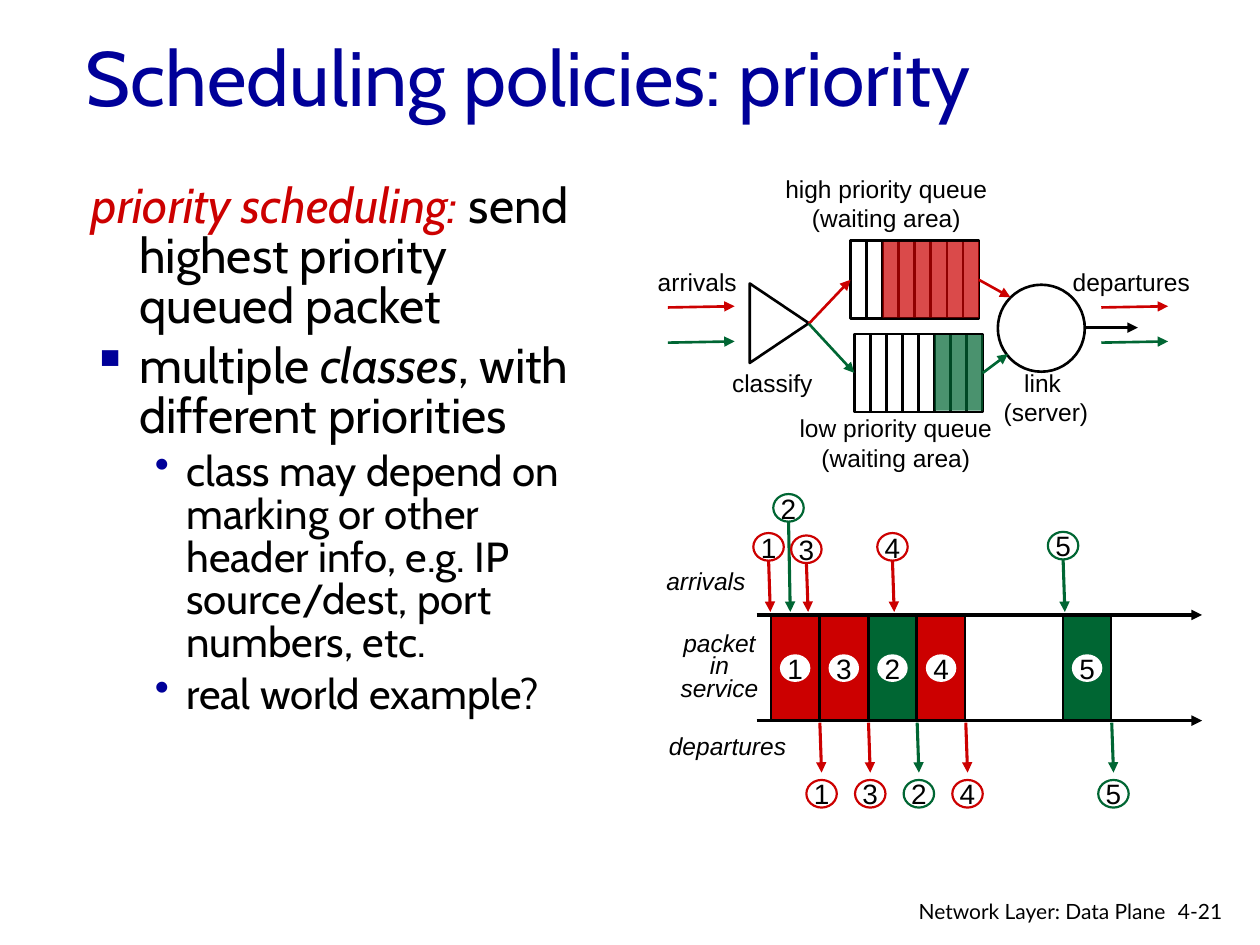
from dataclasses import dataclass
from typing import Optional

from lxml import etree
from pptx import Presentation
from pptx.dml.color import RGBColor
from pptx.enum import shapes as sh, text as tx
from pptx.oxml.ns import qn
from pptx.util import Pt

COLORS = {"navy": "000099", "red": "CC0000", "green": "006633",
          "black": "000000", "white": "FFFFFF"}
RECT, OVAL = sh.MSO_SHAPE.RECTANGLE, sh.MSO_SHAPE.OVAL
LEFT, CENTER, RIGHT = tx.PP_ALIGN.LEFT, tx.PP_ALIGN.CENTER, tx.PP_ALIGN.RIGHT


@dataclass
class Run:
    text: str
    size: float
    font: str = "Arial"
    color: str = "black"
    italic: bool = False


@dataclass
class Point:
    """Body paragraph; its bullet hangs to the left of the margin."""
    runs: list[Run]
    margin: float = 27
    hang: float = 27
    bullet: Optional[str] = None


@dataclass
class Label:
    text: str
    box: tuple[float, float, float, float]
    align: tx.PP_ALIGN = CENTER
    italic: bool = False
    size: float = 14
    font: str = "Arial"
    wrap: bool = False
    leading: Optional[float] = None


@dataclass
class Queue:
    x: float
    y: float
    color: str
    waiting: int


@dataclass
class Packet:
    number: str
    color: str
    slot: int
    arrival: tuple[float, float]


prs = Presentation()
prs.slide_width, prs.slide_height = Pt(720), Pt(540)
slide = prs.slides.add_slide(prs.slide_layouts[6])


def rgb(name: str) -> RGBColor:
    return RGBColor.from_string(COLORS[name])


def add_run(paragraph, run: Run) -> None:
    r = paragraph.add_run()
    r.text = run.text
    r.font.size, r.font.name, r.font.italic = Pt(run.size), run.font, run.italic
    r.font.color.rgb = rgb(run.color)


def text_frame(box: tuple, wrap: bool = True):
    frame = slide.shapes.add_textbox(*map(Pt, box)).text_frame
    frame.word_wrap = wrap
    return frame


def add_label(label: Label) -> None:
    frame = text_frame(label.box, label.wrap)
    for i, line in enumerate(label.text.split("\n")):
        p = frame.add_paragraph() if i else frame.paragraphs[0]
        p.alignment = label.align
        if label.leading:
            p.line_spacing = Pt(label.leading)
        add_run(p, Run(line, label.size, label.font, italic=label.italic))


def add_point(paragraph, point: Point) -> None:
    paragraph.line_spacing = 0.85
    paragraph.space_before = Pt(0.2 * point.runs[0].size)
    ppr = paragraph._p.get_or_add_pPr()
    ppr.set("marL", str(Pt(point.margin)))
    ppr.set("indent", str(-Pt(point.hang)))
    if point.bullet:
        color = etree.SubElement(ppr, qn("a:buClr"))
        etree.SubElement(color, qn("a:srgbClr"), val=COLORS["navy"])
        etree.SubElement(ppr, qn("a:buChar"), char=point.bullet)
    for run in point.runs:
        add_run(paragraph, run)


def add_outline(kind, box: tuple, fill: Optional[str] = None,
                line: Optional[str] = "black", weight: float = 1.5,
                opacity: int = 100):
    shape = slide.shapes.add_shape(kind, *map(Pt, box))
    shape.shadow.inherit = False
    if fill:
        shape.fill.solid()
        shape.fill.fore_color.rgb = rgb(fill)
        if opacity < 100:
            color = shape._element.spPr.find(".//" + qn("a:srgbClr"))
            etree.SubElement(color, qn("a:alpha"), val=str(opacity * 1000))
    else:
        shape.fill.background()
    if line:
        shape.line.color.rgb = rgb(line)
        shape.line.width = Pt(weight)
    else:
        shape.line.fill.background()
    return shape


def add_line(start: tuple, end: tuple, color: str = "black",
             weight: float = 1.5, arrow: bool = True):
    line = slide.shapes.add_connector(
        sh.MSO_CONNECTOR.STRAIGHT, *map(Pt, start + end))
    line.line.color.rgb = rgb(color)
    line.line.width = Pt(weight)
    props = line._element.spPr
    if arrow:
        etree.SubElement(props.find(qn("a:ln")), qn("a:tailEnd"), type="triangle")
    etree.SubElement(props, qn("a:effectLst"))
    return line


def add_queue(queue: Queue):
    width, height, cells = 73.4, 44.6, 8
    cell = width / cells
    frame = add_outline(RECT, (queue.x, queue.y, width, height))
    for i in range(1, cells):
        x = queue.x + i * cell
        add_line((x, queue.y), (x, queue.y + height), arrow=False)
    add_outline(RECT, (queue.x + (cells - queue.waiting) * cell, queue.y + 0.7,
                       queue.waiting * cell, height - 1.4),
                queue.color, None, opacity=71)
    return frame


def add_token(number: str, x: float, y: float, line: Optional[str] = None) -> None:
    """Numbered oval centred on x, y."""
    w, h = 17.4, 15.8
    frame = add_outline(OVAL, (x - w / 2, y - h / 2, w, h),
                        "white", line, 1.25).text_frame
    frame.margin_left = frame.margin_right = frame.margin_top = frame.margin_bottom = 0
    frame.word_wrap = False
    frame.vertical_anchor = tx.MSO_ANCHOR.MIDDLE
    frame.paragraphs[0].alignment = CENTER
    add_run(frame.paragraphs[0], Run(number, 16))


def add_packet(packet: Packet) -> None:
    slot_width = 27.8
    left = 440.7 + packet.slot * slot_width
    add_outline(RECT, (left, 352, 27.4, 59.5), packet.color, weight=1.25)
    add_token(packet.number, left + 13.7, 381.8)
    # Arrival, then departure at the end of the slot
    x, y = packet.arrival
    add_line((x, y + 8), (x + 1, 349.7), packet.color, 1.75)
    add_token(packet.number, x, y, packet.color)
    leave = left + slot_width
    add_line((leave, 413), (leave + 1, 441.5), packet.color, 1.75)
    add_token(packet.number, leave + 1, 453.6, packet.color)


# Title
title = text_frame((42, -1.5, 612, 90))
title.vertical_anchor = tx.MSO_ANCHOR.MIDDLE
add_run(title.paragraphs[0],
        Run("Scheduling policies: priority", 44, "Cabin", "navy"))

# Body text
POINTS = [
    Point([Run("priority scheduling: ", 28, "Cabin", "red", True),
           Run("send highest priority queued packet", 28, "Cabin")]),
    Point([Run("multiple ", 28, "Cabin"), Run("classes", 28, "Cabin", italic=True),
           Run(", with different priorities", 28, "Cabin")], bullet="▪"),
    Point([Run("class may depend on marking or other header info, e.g. IP "
               "source/dest, port numbers, etc.", 24, "Cabin")], 54, 18, "•"),
    Point([Run("real world example?", 24, "Cabin")], 54, 18, "•"),
]
body = text_frame((45.4, 101.5, 291.6, 401.8))
for n, point in enumerate(POINTS):
    add_point(body.add_paragraph() if n else body.paragraphs[0], point)

# Queueing model: classifier, two queues, link
low = add_queue(Queue(488.2, 190.8, "green", 3))
high = add_queue(Queue(486, 137.6, "red", 6))
classifier = add_outline(sh.MSO_SHAPE.ISOSCELES_TRIANGLE, (422.6, 167.8, 45.4, 33.8))
classifier.rotation = 90
add_outline(OVAL, (570.2, 162.7, 49.7, 49.7))
for queue, color, link_entry in ((high, "red", (577.4, 169.9)),
                                 (low, "green", (576, 202.3))):
    add_line((462.2, 185), (486, 185), color).end_connect(queue, 1)
    add_line((560, 185), link_entry, color).begin_connect(queue, 3)
for x in (381.6, 629.3):
    for y, color in ((175.7, "red"), (195.8, "green")):
        add_line((x, y), (x + 38.2, y - 0.7), color)
add_line((619.5, 187.2), (650.2, 187.2))

# Timeline axes and packets
for y in (351.4, 411.8):
    add_line((432.4, y), (686.9, y), weight=2)
for packet in (Packet("5", "green", 6, (607.5, 311.8)),
               Packet("2", "green", 2, (450.6, 290.2)),
               Packet("1", "red", 0, (439.2, 312.5)),
               Packet("3", "red", 1, (460.8, 313.9)),
               Packet("4", "red", 3, (510, 312.5))):
    add_packet(packet)

# Labels and footer
for label in (
    Label("high priority queue\n(waiting area)", (439.2, 95.8, 134.6, 41)),
    Label("low priority queue\n(waiting area)", (449.3, 232.6, 125.3, 41)),
    Label("arrivals", (368.6, 149, 59.8, 24.5)),
    Label("classify", (410.4, 206.6, 61.9, 24.5)),
    Label("departures", (605.5, 149, 82.1, 24.5)),
    Label("link\n (server)", (562.3, 206.6, 67, 41)),
    Label("arrivals", (373.7, 319.7, 63.4, 24.5), LEFT, True),
    Label("departures", (375.1, 414, 85.7, 24.5), LEFT, True),
    Label("packet in service", (377.3, 359.3, 67.7, 46.8), italic=True,
          wrap=True, leading=12.8),
    Label("4-21", (666, 509.8, 43.9, 21.6), LEFT, size=12, font="Lato", wrap=True),
    Label("Network Layer: Data Plane", (501.8, 509.8, 171.4, 18.7), RIGHT,
          size=12, font="Lato", wrap=True),
):
    add_label(label)

prs.save("out.pptx")
